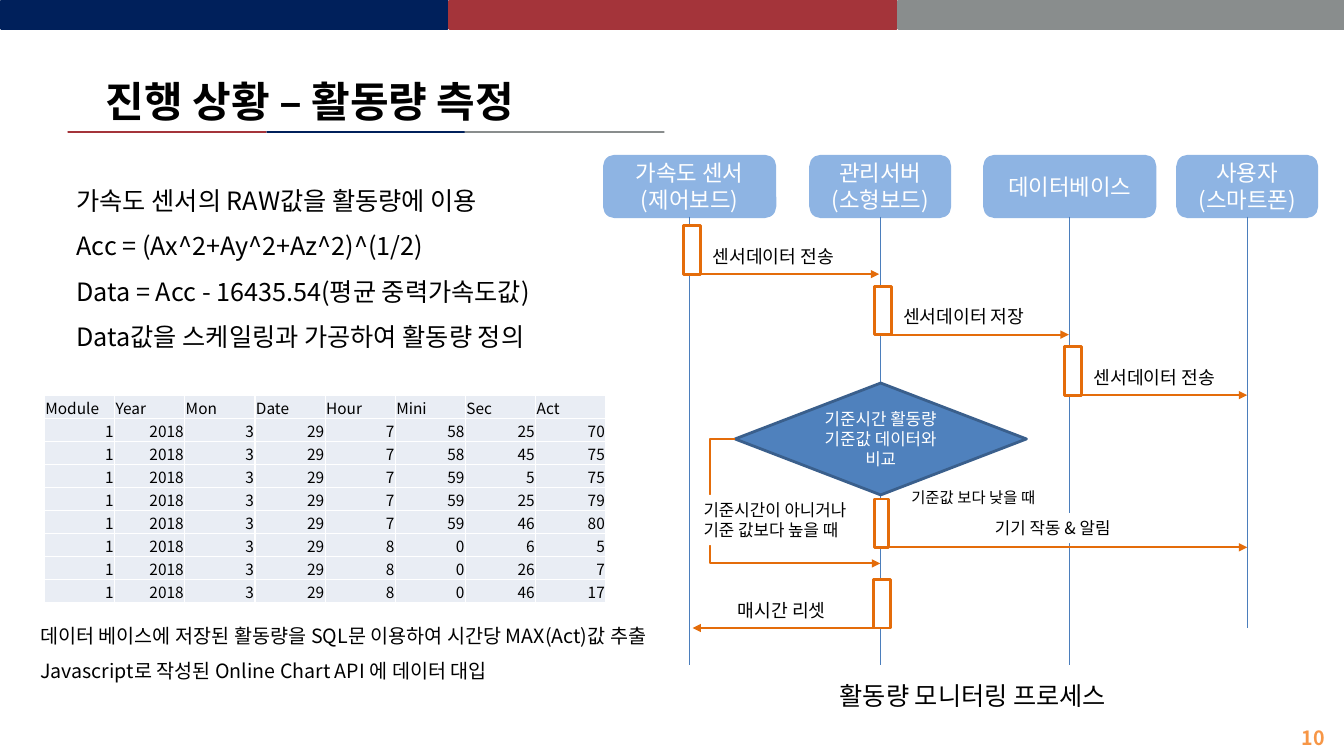
from dataclasses import dataclass

from lxml.etree import SubElement
from pptx import Presentation
from pptx.dml.color import RGBColor
from pptx.enum.shapes import MSO_CONNECTOR, MSO_SHAPE
from pptx.enum.text import MSO_ANCHOR, PP_ALIGN
from pptx.oxml.ns import qn
from pptx.util import Inches, Pt


@dataclass(frozen=True)
class Theme:
    font: str = "Noto Sans CJK KR"
    navy: str = "00205B"
    red: str = "A4343A"
    gray: str = "898D8D"
    sky: str = "8EB4E3"
    blue: str = "4F81BD"
    edge: str = "3A5F8C"
    life: str = "4B7EBC"
    orange: str = "E46C0A"
    page: str = "F79646"
    cell: str = "E9EDF4"
    white: str = "FFFFFF"
    black: str = "000000"
    title: int = 30
    body: int = 18
    actor: int = 16
    note: int = 14
    label: int = 13
    small: int = 12
    tiny: int = 11


def color(code):
    return RGBColor.from_string(code)


def write(frame, text, size=18, ink="000000", font="Noto Sans CJK KR",
          bold=False, align=PP_ALIGN.LEFT, space=None):
    """Fill a text frame, one paragraph per line of text."""
    frame.word_wrap = True
    for i, line in enumerate(text.split("\n")):
        para = frame.add_paragraph() if i else frame.paragraphs[0]
        para.alignment = align
        if space:
            para.line_spacing = space
        run = para.add_run()
        run.text = line
        run.font.size, run.font.bold, run.font.name = Pt(size), bold, font
        run.font.color.rgb = color(ink)
        SubElement(run._r.get_or_add_rPr(), qn("a:ea"), typeface=font)


class Deck:
    """Holds the theme and the current slide."""

    def __init__(self, theme):
        self.theme = theme
        self.show = Presentation()
        self.show.slide_width, self.show.slide_height = Inches(13.33), Inches(7.5)
        self.slide = self.show.slides.add_slide(self.show.slide_layouts[6])

    def shape(self, kind, box, fill, line, text="", **form):
        item = self.slide.shapes.add_shape(kind, *map(Inches, box))
        item.shadow.inherit = False
        item.fill.solid()
        item.fill.fore_color.rgb = color(fill)
        item.line.color.rgb = color(line)
        item.line.width = Pt(2)
        if text:
            item.text_frame.vertical_anchor = MSO_ANCHOR.MIDDLE
            write(item.text_frame, text, ink=self.theme.white,
                  align=PP_ALIGN.CENTER, font=self.theme.font, **form)
        return item

    def text(self, box, text, fill=None, **form):
        item = self.slide.shapes.add_textbox(*map(Inches, box))
        if fill:
            item.fill.solid()
            item.fill.fore_color.rgb = color(fill)
        write(item.text_frame, text, font=self.theme.font, **form)

    def line(self, start, end, ink, width, source=None, arrow=False, bend=None):
        kind = MSO_CONNECTOR.STRAIGHT if bend is None else MSO_CONNECTOR.ELBOW
        item = self.slide.shapes.add_connector(kind, *map(Inches, (*start, *end)))
        if source is not None:
            item.begin_connect(source, 2)
        item.line.color.rgb = color(ink)
        item.line.width = Pt(width)
        props = item._element.spPr
        if arrow:
            SubElement(props.find(qn("a:ln")), qn("a:tailEnd"), type="triangle")
        if bend is not None:
            guides = props.find(qn("a:prstGeom")).get_or_add_avLst()
            SubElement(guides, qn("a:gd"), name="adj1",
                       fmla=f"val {round(bend * 100000)}")
        SubElement(props, qn("a:effectLst"))

    def table(self, box, rows):
        theme = self.theme
        grid = self.slide.shapes.add_table(
            len(rows), len(rows[0]), *map(Inches, box)).table
        for r, row in enumerate(rows):
            grid.rows[r].height = Inches(box[3] / len(rows))
            for c, value in enumerate(row):
                cell = grid.cell(r, c)
                cell.margin_left = cell.margin_right = cell.margin_top = Inches(0.01)
                cell.margin_bottom = 0
                cell.vertical_anchor = MSO_ANCHOR.MIDDLE
                for side in ("lnL", "lnR", "lnT", "lnB"):
                    edge = SubElement(cell._tc.get_or_add_tcPr(),
                                      qn(f"a:{side}"), w=str(Pt(1)))
                    fill = SubElement(edge, qn("a:solidFill"))
                    SubElement(fill, qn("a:srgbClr"), val=theme.white)
                cell.fill.solid()
                cell.fill.fore_color.rgb = color(theme.cell)
                write(cell.text_frame, str(value), size=theme.tiny, font=theme.font,
                      align=PP_ALIGN.RIGHT if r else PP_ALIGN.LEFT)


def main():
    theme = Theme()
    deck = Deck(theme)
    rect = MSO_SHAPE.RECTANGLE

    # Top bands and title rule
    for i, ink in enumerate((theme.navy, theme.red, theme.gray)):
        deck.shape(rect, (0.01 + 4.45 * i, 0.01, 4.43, 0.27), ink, ink)
    for i, ink in enumerate((theme.red, theme.navy, theme.gray)):
        deck.shape(rect, (0.68 + 1.97 * i, 1.31, 1.96, 0), ink, ink)
    deck.text((0.95, 0.7, 4.77, 0.61), "진행 상황 – 활동량 측정",
              size=theme.title, bold=True)
    deck.text((12.81, 7.15, 0.49, 0.29), "10", size=theme.note,
              ink=theme.page, bold=True)

    # Actors and their lifelines: name, centre, width, end
    actors = [
        ("가속도 센서\n(제어보드)", 6.84, 1.69, 6.6),
        ("관리서버\n(소형보드)", 8.73, 1.38, 6.6),
        ("데이터베이스", 10.61, 1.69, 6.6),
        ("사용자\n(스마트폰)", 12.37, 1.38, 6.23),
    ]
    for name, mid, width, end in actors:
        head = deck.shape(MSO_SHAPE.ROUNDED_RECTANGLE, (mid - width / 2, 1.55, width, 0.6),
                          theme.sky, theme.sky, name, size=theme.actor)
        deck.line((mid, 2.15), (mid, end), theme.life, 0.75, source=head)

    # Decision and its way back
    deck.shape(MSO_SHAPE.FLOWCHART_DECISION, (7.29, 3.8, 2.89, 1.11), theme.blue,
               theme.edge, "기준시간 활동량 기준값 데이터와 비교", size=theme.small)
    deck.line((7.29, 4.36), (8.73, 5.59), theme.orange, 1.5, arrow=True, bend=-0.17)

    # Activations with the message each one sends: left, top, width, target
    calls = [
        (6.78, 2.24, 0.17, 8.72),
        (8.67, 2.84, 0.17, 10.6),
        (10.56, 3.44, 0.17, 12.37),
        (8.67, 4.95, 0.14, 12.37),
        (8.66, 5.75, 0.17, 6.87),
    ]
    for left, top, width, target in calls:
        bar = deck.shape(rect, (left, top, width, 0.48), theme.white, theme.orange)
        foot = top + 0.48
        deck.line((left + width / 2, foot), (target, foot), theme.orange, 1.5,
                  source=bar, arrow=True)

    # Message labels
    labels = [
        ((6.97, 2.38, 1.45, 0.32), "센서데이터 전송", theme.label, None),
        ((8.86, 2.98, 1.45, 0.32), "센서데이터 저장", theme.label, None),
        ((10.75, 3.58, 1.45, 0.32), "센서데이터 전송", theme.label, None),
        ((7.22, 5.9, 1.12, 0.32), "매시간 리셋", theme.label, None),
        ((8.94, 4.79, 1.44, 0.29), "기준값 보다 낮을 때", theme.tiny, None),
        ((9.77, 5.09, 1.75, 0.3), "기기 작동 & 알림", theme.small, theme.white),
        ((6.88, 4.91, 1.76, 0.5), "기준시간이 아니거나 기준 값보다 높을 때",
         theme.small, theme.white),
        ((8.23, 6.7, 2.85, 0.4), "활동량 모니터링 프로세스", theme.body, None),
    ]
    for box, text, size, fill in labels:
        deck.text(box, text, size=size, fill=fill)

    # Formula notes
    deck.text((0.66, 1.64, 4.92, 1.87),
              "가속도 센서의 RAW값을 활동량에 이용\n"
              "Acc = (Ax^2+Ay^2+Az^2)^(1/2)\n"
              "Data = Acc - 16435.54(평균 중력가속도값)\n"
              "Data값을 스케일링과 가공하여 활동량 정의",
              size=theme.body, space=1.5)

    # Sample readings
    times = [(7, 58, 25, 70), (7, 58, 45, 75), (7, 59, 5, 75), (7, 59, 25, 79),
             (7, 59, 46, 80), (8, 0, 6, 5), (8, 0, 26, 7), (8, 0, 46, 17)]
    names = ("Module", "Year", "Mon", "Date", "Hour", "Mini", "Sec", "Act")
    deck.table((0.44, 3.92, 5.57, 2.06),
               [names] + [(1, 2018, 3, 29, *time) for time in times])
    deck.text((0.3, 6.02, 6.31, 0.77),
              "데이터 베이스에 저장된 활동량을 SQL문 이용하여 시간당 MAX(Act)값 추출\n"
              "Javascript로 작성된 Online Chart API 에 데이터 대입",
              size=theme.note, space=1.5)

    deck.show.save("out.pptx")


if __name__ == "__main__":
    main()
